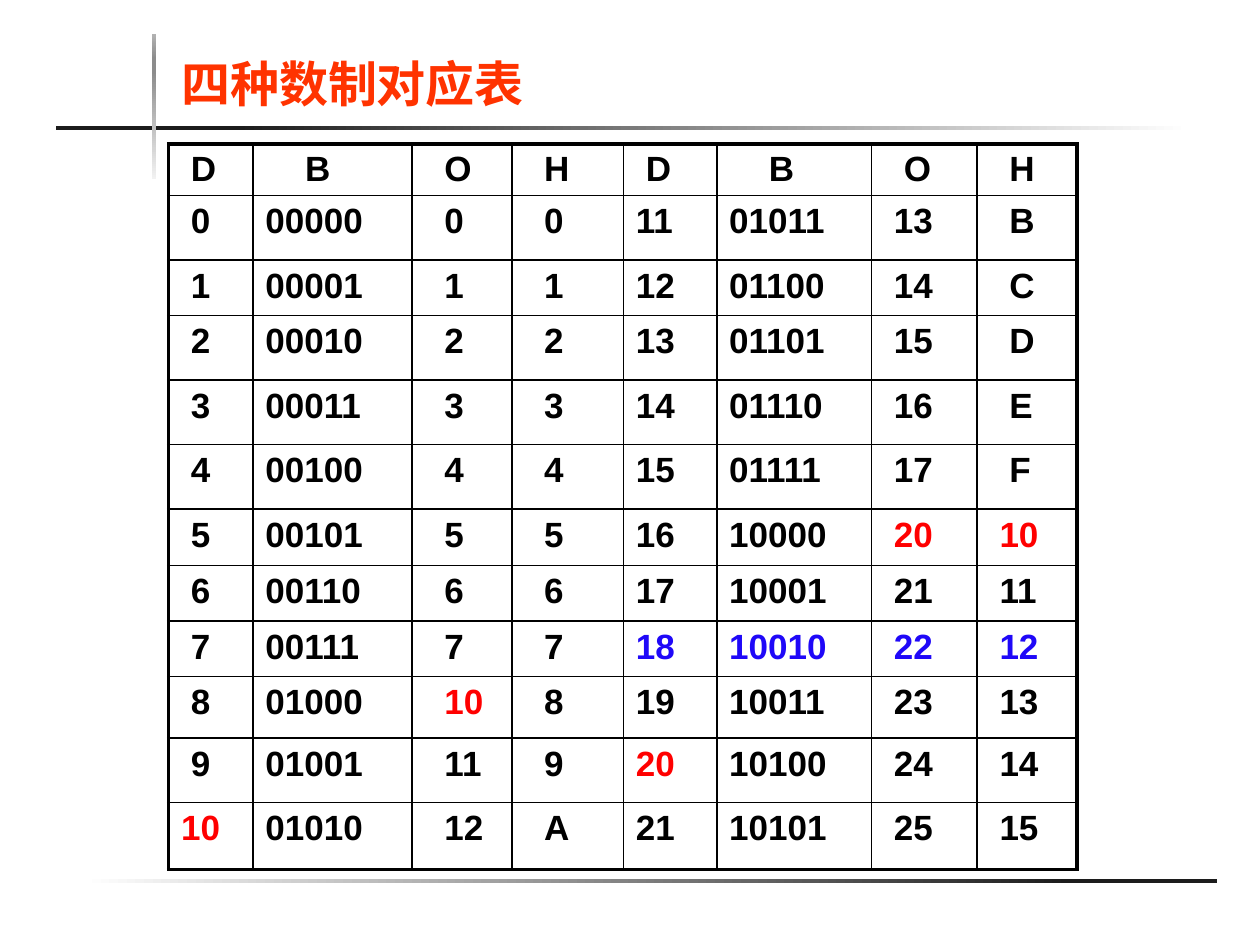
"""Build a slide with a table of decimal, binary, octal and hexadecimal numbers."""
from lxml.etree import SubElement
from pptx import Presentation
from pptx.dml.color import RGBColor
from pptx.enum.shapes import MSO_SHAPE as Shape
from pptx.enum.text import MSO_ANCHOR as Anchor, MSO_AUTO_SIZE as AutoSize, PP_ALIGN as Align
from pptx.oxml.ns import qn
from pptx.util import Cm, Pt

BLACK = RGBColor(0x00, 0x00, 0x00)
RED = RGBColor(0xFF, 0x00, 0x00)
BLUE = RGBColor(0x1F, 0x08, 0xF8)
ORANGE = RGBColor(0xFF, 0x33, 0x00)
WHITE = RGBColor(0xFF, 0xFF, 0xFF)
INK = RGBColor(0x1C, 0x1C, 0x1C)
PALE = RGBColor(0xF2, 0xF2, 0xF2)
GREY = RGBColor(0x8C, 0x8C, 0x8C)
SILVER = RGBColor(0xB2, 0xB2, 0xB2)


def write(frame, text, font="Arial", size=20, color=BLACK):
    paragraph = frame.paragraphs[0]
    paragraph.alignment = Align.LEFT
    paragraph.space_before = Pt(0)
    run = paragraph.add_run()
    run.text = text
    run.font.name = font
    run.font.size = Pt(size)
    run.font.bold = True
    run.font.color.rgb = color


def add_rule(shapes, left, top, width, height, stops, angle=0):
    rule = shapes.add_shape(Shape.RECTANGLE, Cm(left), Cm(top), Cm(width), Cm(height))
    rule.shadow.inherit = False
    rule.line.fill.background()
    rule.fill.gradient()
    gradient = rule._element.spPr.find(qn("a:gradFill"))
    for part in list(gradient):
        gradient.remove(part)
    stop_list = SubElement(gradient, qn("a:gsLst"))
    for position, color in stops:
        stop = SubElement(stop_list, qn("a:gs"), pos=str(position * 1000))
        SubElement(stop, qn("a:srgbClr"), val=str(color))
    SubElement(gradient, qn("a:lin"), ang=str(angle * 60000), scaled="0")


deck = Presentation()
deck.slide_width, deck.slide_height = Cm(25.4), Cm(19.05)
slide = deck.slides.add_slide(deck.slide_layouts[5])

add_rule(slide.shapes, 1.68, 17.73, 22.86, 0.08, [(0, WHITE), (87, INK)])
add_rule(slide.shapes, 1.12, 2.54, 22.86, 0.08, [(16, INK), (100, WHITE)])
add_rule(slide.shapes, 3.07, 0.69, 0.08, 2.92,
         [(0, PALE), (74, GREY), (83, GREY), (100, SILVER)], angle=270)

title = slide.shapes.title
title.left, title.top, title.width, title.height = Cm(3.4), Cm(0.69), Cm(12.62), Cm(1.7)
title.text_frame.auto_size = AutoSize.NONE
title.text_frame.vertical_anchor = Anchor.BOTTOM
write(title.text_frame, "四种数制对应表", font="Calibri", size=28, color=ORANGE)

column_widths = [1.7, 3.21, 2.01, 2.25, 1.88, 3.12, 2.13, 2.01]
row_heights = [1.04, 1.3, 1.12, 1.3, 1.3, 1.3, 1.14, 1.12, 1.12, 1.24, 1.3, 1.35]
single_digit_steps = [1, 4, 2, 2, 1, 4, 2, 2]
multi_digit_steps = [0, 0, 2, 1, 0, 0, 1, 1]
STEP = 0.2
HIGHLIGHTED_NUMBER = 18
NUMBERS_PER_HALF = 11

rows = [list("DBOH") * 2]
for number in range(NUMBERS_PER_HALF):
    rows.append([format(value, base) for value in (number, number + NUMBERS_PER_HALF)
                 for base in ("d", "05b", "o", "X")])

last_row, last_column = len(rows) - 1, len(column_widths) - 1
number_table = slide.shapes.add_table(
    len(rows), len(column_widths), Cm(3.4), Cm(2.9),
    Cm(sum(column_widths)), Cm(sum(row_heights))).table
number_table.first_row = number_table.horz_banding = False
for column, width in zip(number_table.columns, column_widths):
    column.width = Cm(width)
for row, height in zip(number_table.rows, row_heights):
    row.height = Cm(height)

for r, texts in enumerate(rows):
    for c, text in enumerate(texts):
        cell = number_table.cell(r, c)
        outer_edges = {"L": c == 0, "R": c == last_column, "T": r == 0, "B": r == last_row}
        properties = cell._tc.get_or_add_tcPr()
        for side, outer in outer_edges.items():
            border = SubElement(properties, qn(f"a:ln{side}"), w=str(Pt(2.25 if outer else 1)))
            SubElement(SubElement(border, qn("a:solidFill")), qn("a:srgbClr"), val=str(BLACK))
        cell.fill.background()
        steps = single_digit_steps if len(text) == 1 else multi_digit_steps
        cell.margin_left = Cm(0.25 + steps[c] * STEP)
        cell.margin_right = Cm(0)
        if text in ("10", "20"):
            color = RED
        elif c >= 4 and texts[4] == str(HIGHLIGHTED_NUMBER):
            color = BLUE
        else:
            color = BLACK
        write(cell.text_frame, text, color=color)

deck.save("out.pptx")
